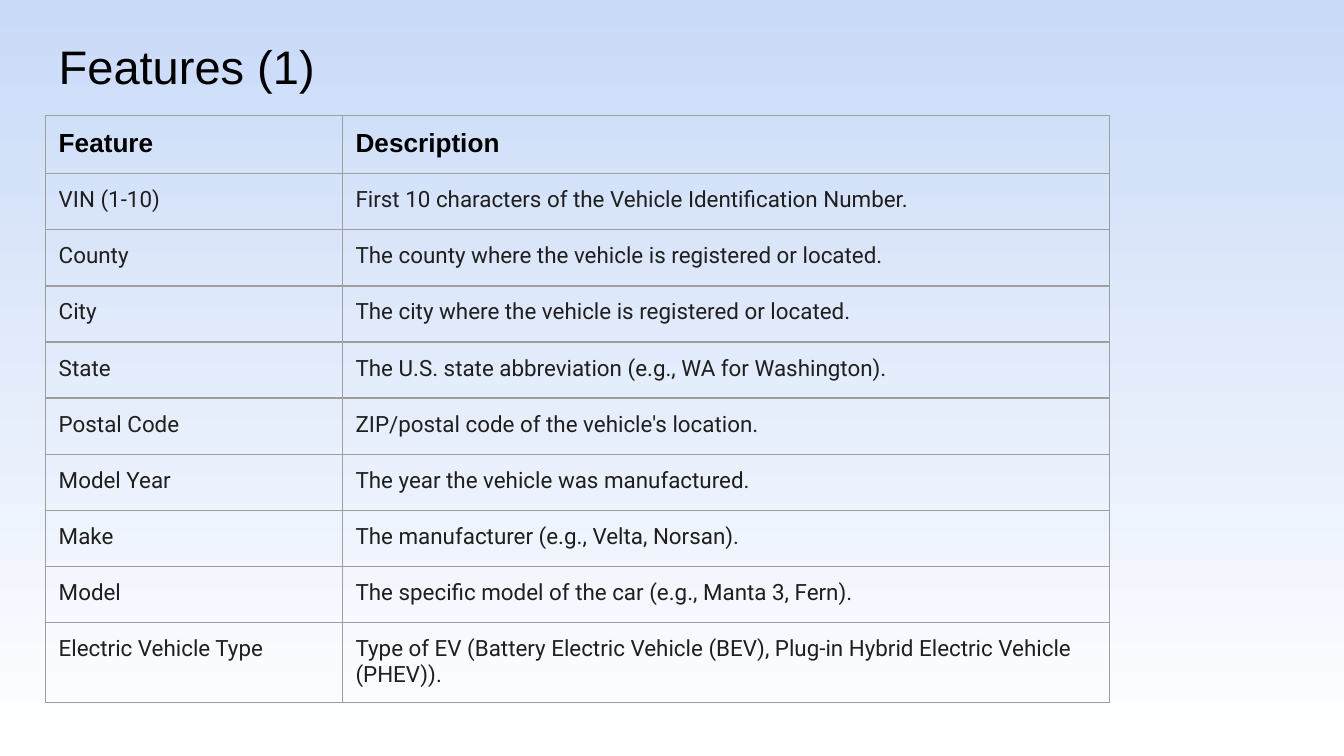
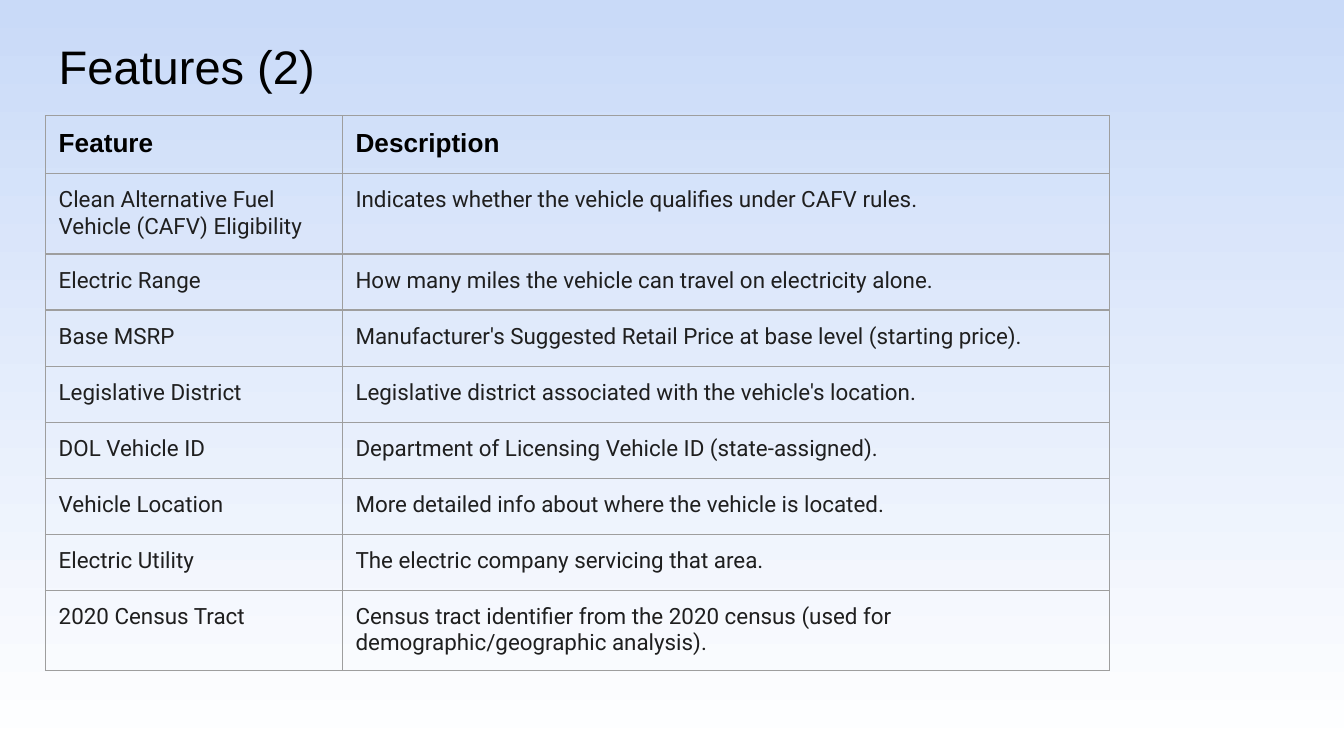
from lxml import etree
from pptx import Presentation
from pptx import util as u
from pptx.dml.color import RGBColor
from pptx.enum import text
from pptx.oxml.ns import qn

COLORS = {"top": "C9DAF8", "base": "FFFFFF", "head": "000000",
          "body": "1F1F1F", "grid": "9E9E9E"}
LEFT = u.Cm(0.86)
PAD = u.Cm(0.25)
WIDTHS = (u.Cm(5.61), u.Cm(14.5))
ROW = u.Cm(1.06)

HEADER = ("Feature", "Description")
PAGES = {
    "Features (1)": [
        ("VIN (1-10)", "First 10 characters of the Vehicle Identification Number."),
        ("County", "The county where the vehicle is registered or located."),
        ("City", "The city where the vehicle is registered or located."),
        ("State", "The U.S. state abbreviation (e.g., WA for Washington)."),
        ("Postal Code", "ZIP/postal code of the vehicle's location."),
        ("Model Year", "The year the vehicle was manufactured."),
        ("Make", "The manufacturer (e.g., Velta, Norsan)."),
        ("Model", "The specific model of the car (e.g., Manta 3, Fern)."),
        ("Electric Vehicle Type", "Type of EV (Battery Electric Vehicle (BEV), "
         "Plug-in Hybrid Electric Vehicle (PHEV))."),
    ],
    "Features (2)": [
        ("Clean Alternative Fuel Vehicle (CAFV) Eligibility",
         "Indicates whether the vehicle qualifies under CAFV rules."),
        ("Electric Range", "How many miles the vehicle can travel on electricity alone."),
        ("Base MSRP",
         "Manufacturer's Suggested Retail Price at base level (starting price)."),
        ("Legislative District",
         "Legislative district associated with the vehicle's location."),
        ("DOL Vehicle ID", "Department of Licensing Vehicle ID (state-assigned)."),
        ("Vehicle Location", "More detailed info about where the vehicle is located."),
        ("Electric Utility", "The electric company servicing that area."),
        ("2020 Census Tract", "Census tract identifier from the 2020 census "
         "(used for demographic/geographic analysis)."),
    ],
}


def paint(slide):
    """Fill the background with a gradient running from top to bottom."""
    fill = slide.background.fill
    fill.gradient()
    fill.gradient_angle = 270
    for stop, name in zip(fill.gradient_stops, ("top", "base")):
        stop.color.rgb = RGBColor.from_string(COLORS[name])


def pad(item):
    """Give a cell or a text frame equal margins."""
    item.margin_left = item.margin_right = PAD
    item.margin_top = item.margin_bottom = PAD


def add_run(frame, words, size, face, color, bold=False):
    run = frame.paragraphs[0].add_run()
    run.text = words
    font = run.font
    font.size, font.name, font.bold = u.Pt(size), face, bold
    font.color.rgb = RGBColor.from_string(COLORS[color])


def add_title(slide, words):
    box = slide.shapes.add_textbox(LEFT, u.Cm(0.43), u.Cm(23.67), u.Cm(1.6))
    frame = box.text_frame
    frame.word_wrap = True
    frame.vertical_anchor = text.MSO_ANCHOR.BOTTOM
    pad(frame)
    add_run(frame, words, 25.2, "Arial", "head")


def add_grid(cell):
    """Draw a thin line on all four sides of a cell."""
    props = cell._tc.get_or_add_tcPr()
    for side in ("a:lnL", "a:lnR", "a:lnT", "a:lnB"):
        line = etree.SubElement(props, qn(side), w=str(u.Pt(0.75)))
        fill = etree.SubElement(line, qn("a:solidFill"))
        etree.SubElement(fill, qn("a:srgbClr"), val=COLORS["grid"])


def add_table(slide, rows):
    shape = slide.shapes.add_table(len(rows), len(WIDTHS), LEFT, u.Cm(2.19),
                                   sum(WIDTHS), ROW * len(rows))
    table = shape.table
    table.horz_banding = False
    for col, width in zip(table.columns, WIDTHS):
        col.width = width
    for i, row in enumerate(rows):
        table.rows[i].height = ROW
        style = (12, "Roboto", "body") if i else (14, "Arial", "head", True)
        for j, words in enumerate(row):
            cell = table.cell(i, j)
            pad(cell)
            add_grid(cell)
            cell.fill.background()
            add_run(cell.text_frame, words, *style)


def main():
    deck = Presentation()
    deck.slide_width, deck.slide_height = u.Cm(25.4), u.Cm(14.29)
    for title, rows in PAGES.items():
        slide = deck.slides.add_slide(deck.slide_layouts[6])
        paint(slide)
        add_title(slide, title)
        add_table(slide, [HEADER, *rows])
    deck.save("out.pptx")


if __name__ == "__main__":
    main()
